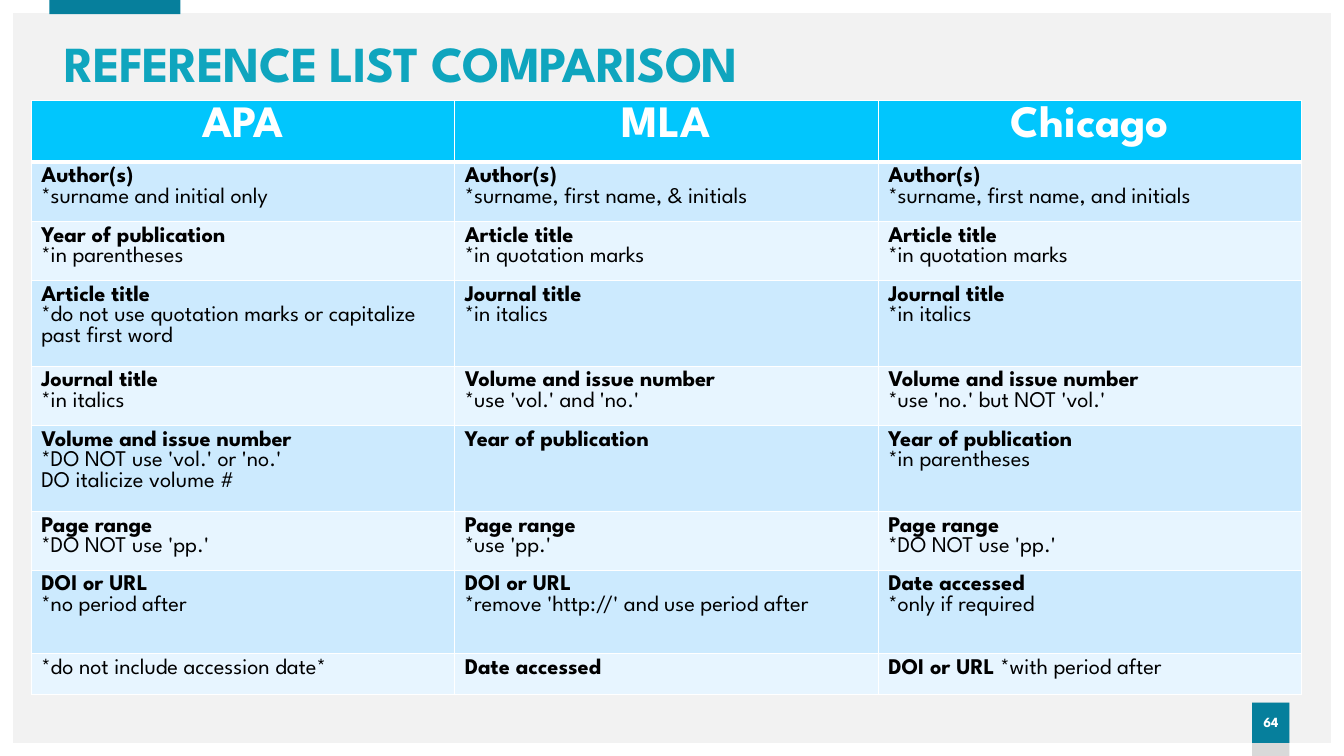
from lxml.etree import SubElement
from pptx import Presentation
from pptx.dml.color import RGBColor
from pptx.enum.shapes import MSO_SHAPE as SHAPE
from pptx.enum.text import MSO_ANCHOR as ANCHOR, MSO_AUTO_SIZE as AUTO, PP_ALIGN as ALIGN
from pptx.oxml.ns import qn
from pptx.util import Pt

PX = 9144
FONT = "League Spartan"
WHITE = RGBColor(0xFF, 0xFF, 0xFF)
BLACK = RGBColor(0, 0, 0)
PAPER = RGBColor(0xF2, 0xF2, 0xF2)
TEAL = RGBColor(0x06, 0x7F, 0x9C)
GREY = RGBColor(0xD9, 0xD9, 0xD9)
TITLE_BLUE = RGBColor(0x0F, 0xA5, 0xBE)
HEADER_BLUE = RGBColor(0x01, 0xC6, 0xFD)
BANDS = (RGBColor(0xCC, 0xEA, 0xFE), RGBColor(0xE7, 0xF5, 0xFF))

ROW_HEIGHTS = (61, 59, 58, 83, 59, 80, 58, 83, 40)
STYLES = ("APA", "MLA", "Chicago")
RULES = (
    ("Author(s)|\n*surname and initial only",
     "Author(s)|\n*surname, first name, & initials",
     "Author(s)|\n*surname, first name, and initials"),
    ("Year of publication|\n*in parentheses",
     "Article title|\n*in quotation marks",
     "Article title|\n*in quotation marks"),
    ("Article title|\n*do not use quotation marks or capitalize past first word",
     "Journal title|\n*in italics",
     "Journal title|\n*in italics"),
    ("Journal title|\n*in italics",
     "Volume and issue number|\n*use 'vol.' and 'no.'",
     "Volume and issue number|\n*use 'no.' but NOT 'vol.'"),
    ("Volume and issue number|\n*DO NOT use 'vol.' or 'no.'\nDO italicize volume #",
     "Year of publication|",
     "Year of publication|\n*in parentheses"),
    ("Page range|\n*DO NOT use 'pp.'",
     "Page range|\n*use 'pp.'",
     "Page range|\n*DO NOT use 'pp.'"),
    ("DOI or URL|\n*no period after",
     "DOI or URL|\n*remove 'http://' and use period after",
     "Date accessed|\n*only if required"),
    ("*do not include accession date*",
     "Date accessed|",
     "DOI or URL| *with period after"),
)


def emu(*lengths):
    """Turn px lengths into EMU."""
    return [n * PX for n in lengths]


def set_font(text, size, color, bold):
    """Format a paragraph or a run."""
    font = text.font
    font.name, font.size, font.bold = FONT, Pt(size), bold
    font.color.rgb = color


def add_block(slide, box, color, kind=SHAPE.RECTANGLE):
    """Add a plain filled shape without outline or shadow."""
    s = slide.shapes.add_shape(kind, *emu(*box))
    s.shadow.inherit = False
    s.fill.solid()
    s.fill.fore_color.rgb = color
    s.line.fill.background()
    return s


def add_frame(slide, width, height):
    """Add the white border and the teal tab on its top edge."""
    frame = add_block(slide, (0, 0, width, height), WHITE, SHAPE.FRAME)
    frame.adjustments[0] = 0.017
    add_block(slide, (49, 0, 130, 14), TEAL)


def add_page_number(slide, x, y, w, h, number):
    """Add the page number on its teal square above a grey foot."""
    add_block(slide, (x, y, w, h), GREY)
    tf = add_block(slide, (x, y, w, 40), TEAL).text_frame
    tf.margin_left = tf.margin_right = 0
    tf.vertical_anchor = ANCHOR.MIDDLE
    p = tf.paragraphs[0]
    p.text = number
    p.alignment, p.line_spacing, p.space_before = ALIGN.CENTER, 0.9, Pt(10)
    set_font(p, 10, WHITE, True)


def set_title(slide, box, text):
    """Place and format the title placeholder."""
    s = slide.shapes.title
    s.left, s.top, s.width, s.height = emu(*box)
    tf = s.text_frame
    tf.word_wrap, tf.auto_size = True, AUTO.SHAPE_TO_FIT_TEXT
    tf.vertical_anchor = ANCHOR.MIDDLE
    p = tf.paragraphs[0]
    p.alignment, p.line_spacing = ALIGN.CENTER, 0.9
    set_font(p, 36, TITLE_BLUE, True)
    r = p.add_run()
    r.text = text
    r.font._element.set("spc", "-60")


def style_cell(cell, color, top=1, bottom=1):
    """Give a cell white borders, a solid fill and no bottom margin."""
    tc_pr = cell._tc.get_or_add_tcPr()
    for side, width in (("L", 1), ("R", 1), ("T", top), ("B", bottom)):
        ln = SubElement(tc_pr, qn(f"a:ln{side}"), w=str(Pt(width)))
        fill = SubElement(ln, qn("a:solidFill"))
        SubElement(fill, qn("a:srgbClr"), val=str(WHITE))
    cell.fill.solid()
    cell.fill.fore_color.rgb = color
    cell.margin_bottom = 0


def write_cell(cell, text, size, color, alignment=ALIGN.LEFT):
    """Write one paragraph per line, bold up to the bar."""
    tf = cell.text_frame
    for i, line in enumerate(text.split("\n")):
        p = tf.add_paragraph() if i else tf.paragraphs[0]
        p.alignment = alignment
        heading, bar, rest = line.partition("|")
        for part, bold in ((heading, bool(bar)), (rest, False)):
            if part:
                r = p.add_run()
                r.text = part
                set_font(r, size, color, bold)
        end = SubElement(p._p, qn("a:endParaRPr"), sz=str(size * 100))
        SubElement(end, qn("a:latin"), typeface=FONT)


def add_comparison(slide, x, y, w):
    """Add the table of reference rules, one column per style."""
    box = emu(x, y, w, sum(ROW_HEIGHTS))
    table = slide.shapes.add_table(len(ROW_HEIGHTS), len(STYLES), *box).table
    for row, height in zip(table.rows, ROW_HEIGHTS):
        row.height = height * PX
    for col, name in enumerate(STYLES):
        table.columns[col].width = w * PX // len(STYLES)
        cell = table.cell(0, col)
        style_cell(cell, HEADER_BLUE, bottom=3)
        write_cell(cell, f"{name}|", 32, WHITE, ALIGN.CENTER)
        for i, rules in enumerate(RULES):
            cell = table.cell(i + 1, col)
            style_cell(cell, BANDS[i % 2], top=1 if i else 3)
            write_cell(cell, rules[col], 16, BLACK)


def main():
    """Build and save the slide."""
    prs = Presentation()
    prs.slide_width, prs.slide_height = emu(1333, 750)
    slide = prs.slides.add_slide(prs.slide_layouts[5])
    slide.background.fill.solid()
    slide.background.fill.fore_color.rgb = PAPER
    add_frame(slide, 1333, 750)
    add_page_number(slide, 1242, 697, 37, 53, "64")
    add_comparison(slide, 31, 100, 1260)
    set_title(slide, (-213, 33, 1222, 65), "REFERENCE LIST COMPARISON")
    prs.save("out.pptx")


if __name__ == "__main__":
    main()
